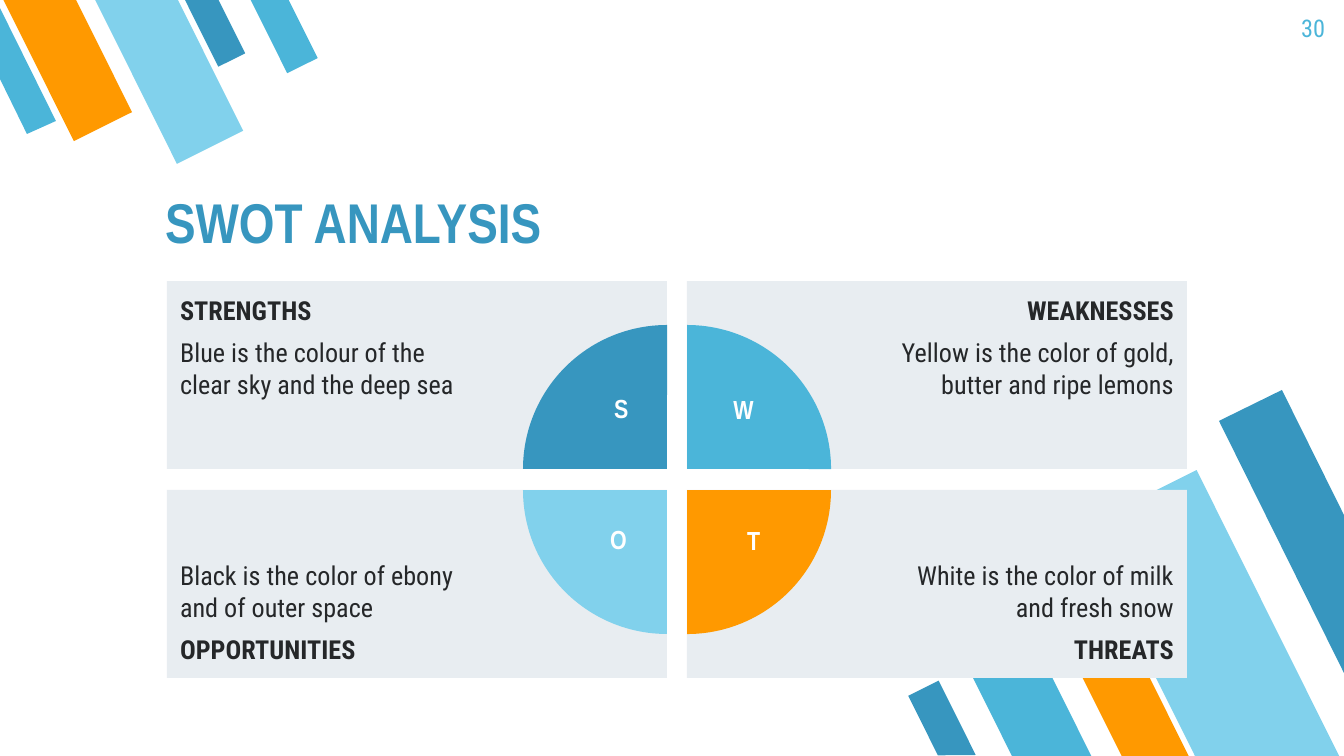
from pptx import Presentation
from pptx.dml.color import RGBColor
from pptx.enum.shapes import MSO_SHAPE as Shape
from pptx.enum.text import MSO_ANCHOR as Anchor, MSO_AUTO_SIZE as AutoSize, PP_ALIGN as Align
from pptx.util import Pt

PX = 914400 / 134.4
BLUE, SKY, PALE, ORANGE = "3796BF", "4BB5D9", "81D1EC", "FF9900"
PANEL, INK, WHITE = "E8EDF1", "252729", "FFFFFF"
HEAD_FONT, BODY_FONT = "Arial Narrow", "Roboto Condensed"
LEFT, TOP, WIDTH, HEIGHT = 167, 281, 500, 188
GAP_X, GAP_Y, RADIUS, INSET = 20, 21, 144, 13

STRIPES = [
    (985, 605, 71, 177, 153.5, SKY),
    (1146, 482, 129, 321, 153.5, PALE),
    (1099, 629, 60, 149, 153.5, ORANGE),
    (925, 684, 34, 83, 153.5, BLUE),
    (200, -11, 30, 75, 333.5, BLUE),
    (35, -24, 65, 159, 333.5, ORANGE),
    (132, -27, 74, 184, 333.5, PALE),
    (267, -13, 34, 83, 333.5, SKY),
]
CUT_STRIPES = [
    ([(1282, 390), (1219, 421), (1344, 673), (1344, 515)], BLUE),
    ([(27, 134), (56, 121), (0, 8), (0, 79)], SKY),
]
QUADRANTS = [
    (0, 0, "STRENGTHS", "Blue is the colour of the clear sky and the deep sea"),
    (0, 1, "WEAKNESSES", "Yellow is the color of gold, butter and ripe lemons"),
    (1, 0, "OPPORTUNITIES", "Black is the color of ebony and of outer space"),
    (1, 1, "THREATS", "White is the color of milk and fresh snow"),
]
PIES = [(0, 0, 0, BLUE), (0, 1, 90, SKY), (1, 1, 180, ORANGE), (1, 0, 270, PALE)]
LETTERS = [
    ("S", 601, 386, 32, 60),
    ("W", 720, 387, 47, 59),
    ("O", 597, 517, 36, 60),
    ("T", 734, 518, 31, 59),
]


def px(value):
    """Turn pixels into EMU."""
    return round(value * PX)


def color(value):
    """Turn a hex string into a colour."""
    return RGBColor.from_string(value)


def paint(shape, fill):
    """Give a shape a flat fill without line or shadow."""
    shape.shadow.inherit = False
    shape.fill.solid()
    shape.fill.fore_color.rgb = color(fill)
    shape.line.fill.background()


def style(paragraph, text, font, size, fill, bold=False, align=Align.LEFT):
    """Write and format one paragraph."""
    paragraph.text = text
    paragraph.alignment = align
    paragraph.font.name = font
    paragraph.font.size = Pt(size)
    paragraph.font.bold = bold
    paragraph.font.color.rgb = color(fill)


def set_margins(frame, left=INSET, right=INSET):
    """Set the insets of a wrapping text frame."""
    frame.word_wrap = True
    frame.margin_left, frame.margin_right = px(left), px(right)
    frame.margin_top = frame.margin_bottom = px(INSET)


def add_shape(slide, kind, left, top, width, height, fill, rotation=0):
    """Add a flat preset shape."""
    shape = slide.shapes.add_shape(kind, px(left), px(top), px(width), px(height))
    shape.rotation = rotation
    paint(shape, fill)
    return shape


def add_stripe(slide, left, top, width, height, rotation, fill):
    """Add a slanted stripe running off the slide."""
    stripe = add_shape(slide, Shape.FLOWCHART_MANUAL_INPUT, left, top, width, height, fill, rotation)
    stripe._element.spPr.xfrm.set("flipH", "1")


def add_cut_stripe(slide, points, fill):
    """Add a stripe cut off along the slide edge."""
    builder = slide.shapes.build_freeform(*points[0], scale=PX)
    builder.add_line_segments(points[1:], close=True)
    paint(builder.convert_to_shape(), fill)


def add_title(slide, text):
    """Place and format the title placeholder."""
    title = slide.shapes.title
    title.left, title.top, title.width, title.height = px(152), px(169), px(847), px(99)
    frame = title.text_frame
    set_margins(frame)
    frame.auto_size = AutoSize.NONE
    frame.vertical_anchor = Anchor.BOTTOM
    style(frame.paragraphs[0], text, HEAD_FONT, 30, BLUE, True)


def add_text(slide, left, top, width, height):
    """Add a wrapping text box and return its frame."""
    frame = slide.shapes.add_textbox(px(left), px(top), px(width), px(height)).text_frame
    frame.word_wrap = True
    return frame


def add_panel(slide, row, column, heading, body):
    """Add a quadrant whose heading sits at its outer edge."""
    left, top = LEFT + column * (WIDTH + GAP_X), TOP + row * (HEIGHT + GAP_Y)
    frame = add_shape(slide, Shape.RECTANGLE, left, top, WIDTH, HEIGHT, PANEL).text_frame
    inner = 202
    set_margins(frame, *((inner, INSET) if column else (INSET, inner)))
    frame.vertical_anchor = Anchor.BOTTOM if row else Anchor.TOP
    align = Align.RIGHT if column else Align.LEFT
    first, second = frame.paragraphs[0], frame.add_paragraph()
    head, detail = (second, first) if row else (first, second)
    style(head, heading, BODY_FONT, 14, INK, True, align)
    style(detail, body, BODY_FONT, 14, INK, False, align)
    second.space_before = second.space_after = Pt(6)


def add_pie(slide, row, column, rotation, fill):
    """Add a quarter circle centred on a panel's inner corner."""
    center_x = LEFT + WIDTH + column * GAP_X
    center_y = TOP + HEIGHT + row * GAP_Y
    pie = add_shape(slide, Shape.PIE, center_x - RADIUS, center_y - RADIUS,
                    2 * RADIUS, 2 * RADIUS, fill, rotation)
    pie.adjustments[0], pie.adjustments[1] = 108, 162


def main():
    """Build the SWOT slide."""
    presentation = Presentation()
    presentation.slide_width, presentation.slide_height = px(1344), px(756)
    slide = presentation.slides.add_slide(presentation.slide_layouts[5])
    for stripe in STRIPES:
        add_stripe(slide, *stripe)
    for points, fill in CUT_STRIPES:
        add_cut_stripe(slide, points, fill)
    add_title(slide, "SWOT ANALYSIS")
    number = add_text(slide, 1258, 0, 80, 58)
    set_margins(number)
    style(number.paragraphs[0], "30", BODY_FONT, 13, SKY, align=Align.RIGHT)
    for quadrant in QUADRANTS:
        add_panel(slide, *quadrant)
    for pie in PIES:
        add_pie(slide, *pie)
    for letter, *box in LETTERS:
        frame = add_text(slide, *box)
        style(frame.paragraphs[0], letter, HEAD_FONT, 14, WHITE, True, Align.CENTER)
    presentation.save("out.pptx")


if __name__ == "__main__":
    main()
